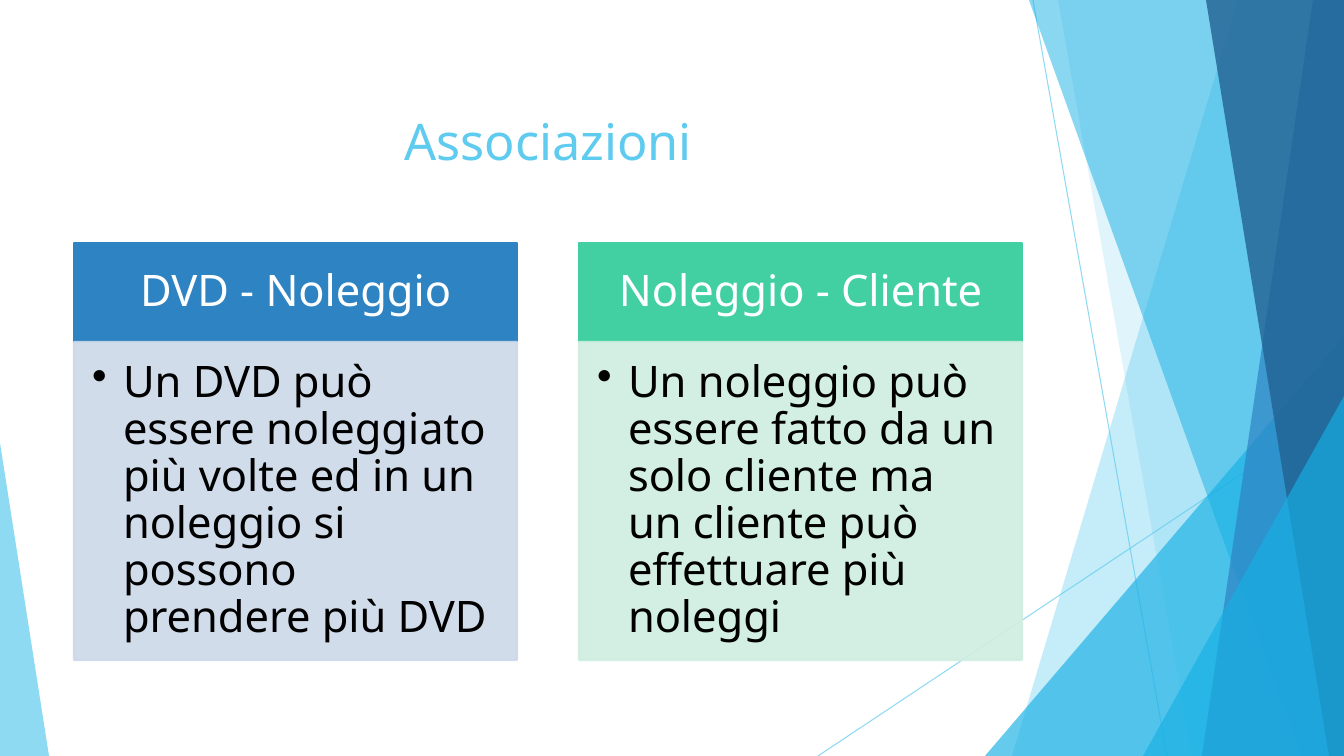
from dataclasses import dataclass

from lxml.etree import SubElement
from pptx import Presentation
from pptx.dml.color import RGBColor
from pptx.enum.shapes import MSO_CONNECTOR, MSO_SHAPE
from pptx.enum.text import MSO_ANCHOR as ANCHOR, PP_ALIGN as ALIGN
from pptx.oxml.ns import qn
from pptx.util import Pt

PX = 914400 / 100.8
WIDTH, HEIGHT = 1344, 756


@dataclass(frozen=True)
class Theme:
    """Colours, font and type sizes of the slide."""
    font: str = "Noto Sans"
    title_size: int = 36
    card_size: int = 31
    sky: str = "5FCBEF"
    cyan: str = "17B0E4"
    blue: str = "2E83C3"
    navy: str = "226292"
    green: str = "42D0A2"
    pale_blue: str = "CDD9E9"
    pale_green: str = "CFEEE0"
    white: str = "FFFFFF"
    black: str = "000000"


T = Theme()


def emu(*pixels):
    """Turn pixel lengths into EMU."""
    return [round(v * PX) for v in pixels]


def paint(fmt, colour, opacity=100):
    """Give a fill a solid colour, with transparency if asked."""
    fmt.solid()
    fmt.fore_color.rgb = RGBColor.from_string(colour)
    if opacity < 100:
        clr = fmt._xPr.find(qn("a:solidFill"))[0]
        SubElement(clr, qn("a:alpha"), val=str(opacity * 1000))


def finish(sp, colour, opacity):
    """Fill a decorative shape and drop its outline and shadow."""
    paint(sp.fill, colour, opacity)
    sp.line.fill.background()
    sp.shadow.inherit = False


def add_ray(s, x1, y1, x2, y2):
    """Draw a thin translucent line."""
    line = s.shapes.add_connector(MSO_CONNECTOR.STRAIGHT, *emu(x1, y1, x2, y2))
    line.line.width = Pt(0.75)
    paint(line.line.fill, T.sky, 70)
    SubElement(line._element.spPr, qn("a:effectLst"))


def add_facet(s, top_x, bottom_x, colour, opacity):
    """Draw a full-height band from a slanted edge to the right slide edge."""
    ff = s.shapes.build_freeform(top_x, 0, scale=PX)
    ff.add_line_segments([(WIDTH, 0), (WIDTH, HEIGHT), (bottom_x, HEIGHT)])
    finish(ff.convert_to_shape(), colour, opacity)


def add_corner(s, x, w, h, apex, colour, opacity):
    """Draw a triangle standing on the bottom edge of the slide."""
    sp = s.shapes.add_shape(MSO_SHAPE.ISOSCELES_TRIANGLE, *emu(x, HEIGHT - h, w, h))
    sp.adjustments[0] = apex
    finish(sp, colour, opacity)


def write(sp, text, size, colour, align, anchor, insets):
    """Write one paragraph into a shape and return the paragraph."""
    tf = sp.text_frame
    tf.word_wrap = True
    tf.vertical_anchor = anchor
    tf.margin_left, tf.margin_top, tf.margin_right, tf.margin_bottom = emu(*insets)
    p = tf.paragraphs[0]
    p.alignment = align
    r = p.add_run()
    r.text = text
    r.font.name = T.font
    r.font.size = Pt(size)
    r.font.color.rgb = RGBColor.from_string(colour)
    return p


def add_bullet(p, indent):
    """Give a paragraph a round bullet with a hanging indent in pixels."""
    pPr = p._p.get_or_add_pPr()
    hang, = emu(indent)
    pPr.set("marL", str(hang))
    pPr.set("indent", str(-hang))
    SubElement(pPr, qn("a:buChar"), char="•")


def add_panel(s, box, colour, opacity=100):
    """Draw a rectangle whose outline matches its fill."""
    sp = s.shapes.add_shape(MSO_SHAPE.RECTANGLE, *emu(*box))
    sp.shadow.inherit = False
    sp.line.width = Pt(1.5)
    for fmt in (sp.fill, sp.line.fill):
        paint(fmt, colour, opacity)
    return sp


def add_card(s, x, heading, body, colour, pale):
    """Draw a coloured heading over a pale panel with a bulleted text."""
    top, w, head_h, body_h = 243, 443, 99, 318
    head = add_panel(s, (x, top, w, head_h), colour)
    p = write(head, heading, T.card_size, T.white, ALIGN.CENTER, ANCHOR.MIDDLE,
              (24, 14, 24, 14))
    p.line_spacing = 0.9
    panel = add_panel(s, (x, top + head_h, w, body_h), pale, 90)
    p = write(panel, body, T.card_size, T.black, ALIGN.LEFT, ANCHOR.TOP,
              (18, 18, 24, 27))
    p.line_spacing = 0.9
    add_bullet(p, 31)


def add_backdrop(s):
    """Draw the rays, facets and corners behind the content."""
    add_ray(s, 1033, 0, 1167, HEIGHT)
    add_ray(s, WIDTH, 406, 818, HEIGHT)
    add_facet(s, 1238, 1012, T.sky, 36)
    add_facet(s, 1058, 1192, T.sky, 20)
    add_corner(s, 985, 359, 420, 1, T.cyan, 66)
    add_facet(s, 1029, 1301, T.cyan, 50)
    add_facet(s, 1313, 1202, T.blue, 70)
    add_facet(s, 1206, 1329, T.navy, 80)
    add_corner(s, 1143, 201, 360, 1, T.cyan, 66)
    add_corner(s, 0, 49, 313, 0, T.sky, 70)


def main():
    """Build the slide and save it."""
    prs = Presentation()
    prs.slide_width, prs.slide_height = emu(WIDTH, HEIGHT)
    s = prs.slides.add_slide(prs.slide_layouts[6])
    add_backdrop(s)
    title = s.shapes.add_textbox(*emu(74, 68, 948, 145))
    write(title, "Associazioni", T.title_size, T.sky, ALIGN.CENTER, ANCHOR.MIDDLE,
          (10, 5, 10, 5))
    cards = [
        ("DVD - Noleggio",
         "Un DVD può essere noleggiato più volte ed in un noleggio "
         "si possono prendere più DVD", T.blue, T.pale_blue),
        ("Noleggio - Cliente",
         "Un noleggio può essere fatto da un solo cliente ma un cliente "
         "può effettuare più noleggi", T.green, T.pale_green),
    ]
    for i, card in enumerate(cards):
        add_card(s, 74 + 505 * i, *card)
    prs.save("out.pptx")


main()
